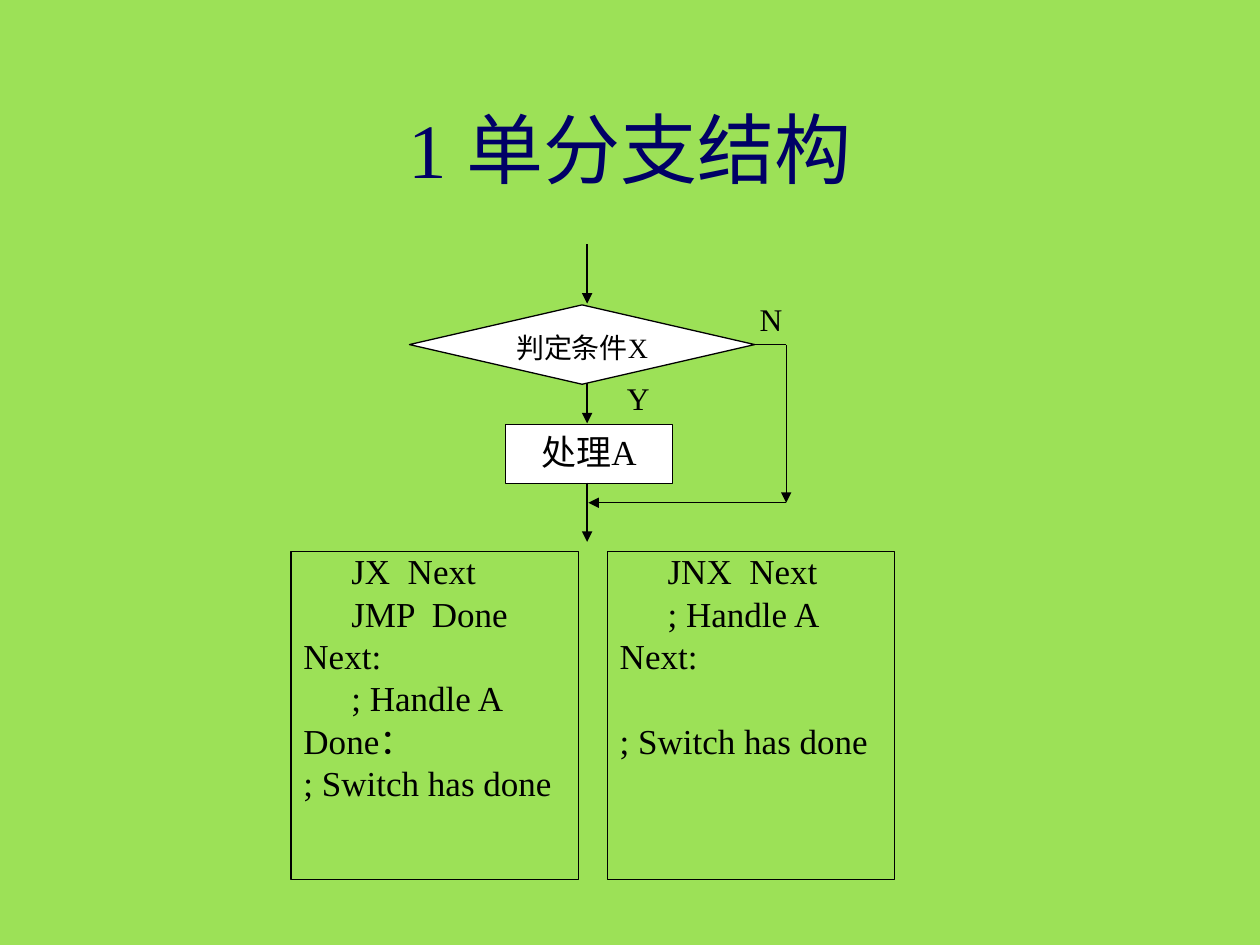
from collections import namedtuple

from lxml.etree import SubElement
from pptx import Presentation
from pptx.dml.color import RGBColor
from pptx.enum.shapes import MSO_CONNECTOR, MSO_SHAPE
from pptx.enum.text import MSO_ANCHOR, PP_ALIGN
from pptx.oxml.ns import qn
from pptx.util import Inches, Pt

GREEN = RGBColor(0x9C, 0xE1, 0x57)
NAVY = RGBColor(0x00, 0x00, 0x66)
BLACK = RGBColor(0x00, 0x00, 0x00)
WHITE = RGBColor(0xFF, 0xFF, 0xFF)

FONT = "Times New Roman"
WIDTH, HEIGHT = Inches(10), Inches(7.5)
COLUMN, ROW = WIDTH / 100, HEIGHT / 75
LINE_WIDTH = Pt(0.75)
CODE_FORMAT = {"line_spacing": 0.8, "space_before": Pt(5)}
CODE_GAP = Pt(29)  # paragraph spacing plus one skipped line
CODE_INDENT = Inches(0.38)

# All box lengths are in grid columns and rows
Box = namedtuple("Box", "left top width height")


def within(box, left, top, width, height):
    return Box(box.left + left, box.top + top, width, height)


def emu(box):
    return (round(box.left * COLUMN), round(box.top * ROW),
            round(box.width * COLUMN), round(box.height * ROW))


def style_run(paragraph, text, size, color=BLACK):
    run = paragraph.add_run()
    run.text = text
    for name, value in {"name": FONT, "size": Pt(size)}.items():
        setattr(run.font, name, value)
    run.font.color.rgb = color


def add_label(slide, box, text, size, color=BLACK,
              align=PP_ALIGN.CENTER, anchor=MSO_ANCHOR.TOP):
    frame = slide.shapes.add_textbox(*emu(box)).text_frame
    frame.word_wrap = True
    frame.vertical_anchor = anchor
    frame.paragraphs[0].alignment = align
    style_run(frame.paragraphs[0], text, size, color)


def add_outlined(slide, preset, box, fill=None):
    shape = slide.shapes.add_shape(preset, *emu(box))
    shape.shadow.inherit = False
    if fill is None:
        shape.fill.background()
    else:
        shape.fill.solid()
        shape.fill.fore_color.rgb = fill
    shape.line.color.rgb = BLACK
    shape.line.width = LINE_WIDTH
    shape.text_frame.vertical_anchor = MSO_ANCHOR.TOP
    return shape


def add_node(slide, preset, box, text, size):
    node = add_outlined(slide, preset, box, WHITE)
    node.text_frame.word_wrap = False
    paragraph = node.text_frame.paragraphs[0]
    paragraph.alignment = PP_ALIGN.CENTER
    style_run(paragraph, text, size)
    return node


def add_flow(slide, box, start, end, arrow=True):
    """Draw a flow line between two points given relative to the box."""
    (x1, y1), (x2, y2) = start, end
    flow = slide.shapes.add_connector(
        MSO_CONNECTOR.STRAIGHT,
        round((box.left + x1) * COLUMN), round((box.top + y1) * ROW),
        round((box.left + x2) * COLUMN), round((box.top + y2) * ROW))
    flow.line.color.rgb = BLACK
    flow.line.width = LINE_WIDTH
    if arrow:
        SubElement(flow.line._get_or_add_ln(), qn("a:tailEnd"), type="triangle")
    SubElement(flow._element.spPr, qn("a:effectLst"))
    return flow


def add_flowchart(slide, box):
    main_x, bypass_x = 14.1, 29.9
    condition_y, merge_y = 7.95, 20.5

    condition = add_node(slide, MSO_SHAPE.FLOWCHART_DECISION,
                         within(box, 0, 4.8, 27.4, 6.3), "判定条件X", 16)
    add_node(slide, MSO_SHAPE.RECTANGLE,
             within(box, 7.6, 14.3, 13.3, 4.7), "处理A", 20)

    for top, bottom in ((0, 4.7), (11, 14.2), (18.9, 23.6)):
        add_flow(slide, box, (main_x, top), (main_x, bottom))
    bypass = add_flow(slide, box, (27.4, condition_y), (bypass_x, condition_y),
                      arrow=False)
    bypass.begin_connect(condition, 3)
    add_flow(slide, box, (bypass_x, condition_y), (bypass_x, merge_y))
    add_flow(slide, box, (bypass_x, merge_y), (main_x + 0.1, merge_y))

    add_label(slide, within(box, 26.8, 3.9, 5.7, 4.7), "N", 18,
              align=PP_ALIGN.LEFT)
    add_label(slide, within(box, 15, 10.2, 6.3, 4), "Y", 18)


def add_listing(slide, box, lines):
    """Each line is its text, whether it is indented, and its space before."""
    frame = add_outlined(slide, MSO_SHAPE.RECTANGLE, box).text_frame
    frame.word_wrap = True
    for index, (text, indented, space) in enumerate(lines):
        paragraph = frame.add_paragraph() if index else frame.paragraphs[0]
        paragraph.alignment = PP_ALIGN.LEFT
        for name, value in {**CODE_FORMAT, "space_before": space}.items():
            setattr(paragraph, name, value)
        properties = paragraph._p.get_or_add_pPr()
        properties.set("marL", str(CODE_INDENT))
        properties.set("indent", str(0 if indented else -CODE_INDENT))
        style_run(paragraph, text, 20)


def add_listings(slide, box, listings):
    gap = 2.3
    width = (box.width - gap * (len(listings) - 1)) / len(listings)
    for index, lines in enumerate(listings):
        add_listing(slide, within(box, index * (width + gap), 0,
                                  width, box.height), lines)


def main():
    presentation = Presentation()
    presentation.slide_width, presentation.slide_height = WIDTH, HEIGHT
    slide = presentation.slides.add_slide(presentation.slide_layouts[6])
    slide.background.fill.solid()
    slide.background.fill.fore_color.rgb = GREEN

    gap = CODE_FORMAT["space_before"]
    jump_if_true = [("JX  Next", True, gap), ("JMP  Done", True, gap),
                    ("Next:", False, gap), ("; Handle A", True, gap),
                    ("Done：", False, gap), ("; Switch has done", False, gap)]
    jump_if_false = [("JNX  Next", True, gap), ("; Handle A", True, gap),
                     ("Next:", False, gap),
                     ("; Switch has done", False, CODE_GAP)]

    add_label(slide, Box(7.5, 7.6, 85, 8.3), "1 单分支结构", 44, NAVY,
              anchor=MSO_ANCHOR.MIDDLE)
    add_flowchart(slide, Box(32.5, 19.4, 32.5, 23.6))
    add_listings(slide, Box(23.1, 43.8, 47.9, 26), [jump_if_true, jump_if_false])
    presentation.save("out.pptx")


if __name__ == "__main__":
    main()
